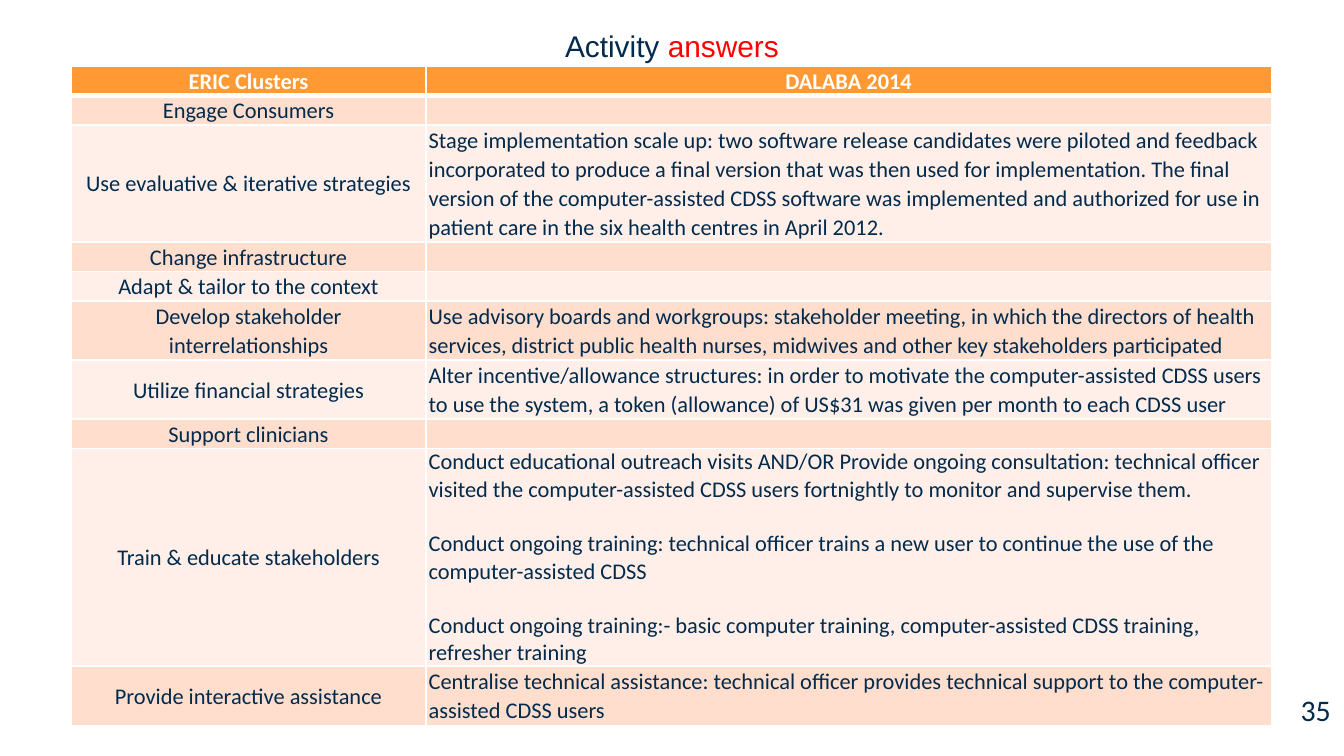
from lxml.etree import SubElement
from pptx import Presentation
from pptx.dml.color import RGBColor
from pptx.enum.text import MSO_ANCHOR, MSO_AUTO_SIZE, PP_ALIGN
from pptx.oxml.ns import qn
from pptx.util import Inches, Pt

NAVY = RGBColor(0x01, 0x2A, 0x4C)
RED = RGBColor(0xFF, 0x00, 0x00)
WHITE = RGBColor(0xFF, 0xFF, 0xFF)
ORANGE = RGBColor(0xFF, 0x99, 0x33)
PEACH = RGBColor(0xFF, 0xDE, 0xCE)
CREAM = RGBColor(0xFF, 0xEF, 0xE8)

HEAD = ("ERIC Clusters", "DALABA 2014")
ROWS = [
    ("Engage Consumers", [], 0.22),
    ("Use evaluative & iterative strategies", [
        "Stage implementation scale up: two software release candidates were piloted and "
        "feedback incorporated to produce a final version that was then used for "
        "implementation. The final version of the computer-assisted CDSS software was "
        "implemented and authorized for use in patient care in the six health centres "
        "in April 2012."], 0.87),
    ("Change infrastructure", [], 0.22),
    ("Adapt & tailor to the context", [], 0.22),
    ("Develop stakeholder interrelationships", [
        "Use advisory boards and workgroups: stakeholder meeting, in which the directors "
        "of health services, district public health nurses, midwives and other key "
        "stakeholders participated"], 0.44),
    ("Utilize financial strategies", [
        "Alter incentive/allowance structures: in order to motivate the computer-assisted "
        "CDSS users to use the system, a token (allowance) of US$31 was given per month "
        "to each CDSS user"], 0.44),
    ("Support clinicians", [], 0.22),
    ("Train & educate stakeholders", [
        "Conduct educational outreach visits AND/OR Provide ongoing consultation: technical "
        "officer visited the computer-assisted CDSS users fortnightly to monitor and "
        "supervise them.",
        "Conduct ongoing training: technical officer trains a new user to continue the use "
        "of the computer-assisted CDSS",
        "Conduct ongoing training:- basic computer training, computer-assisted CDSS "
        "training, refresher training"], 1.62),
    ("Provide interactive assistance", [
        "Centralise technical assistance: technical officer provides technical support to "
        "the computer-assisted CDSS users"], 0.44),
]


def set_font(para, name, size, color, bold=False):
    """Set the font of a whole paragraph."""
    font = para.font
    font.name, font.size, font.bold = name, Pt(size), bold
    font.color.rgb = color


def place(shape, left, top, width, height):
    """Move and size a shape."""
    shape.left, shape.top = Inches(left), Inches(top)
    shape.width, shape.height = Inches(width), Inches(height)


def add_title(slide):
    """Fill the title placeholder."""
    title = slide.shapes.title
    place(title, 0.5, 0.23, 9, 0.3)
    frame = title.text_frame
    frame.auto_size = MSO_AUTO_SIZE.NONE
    frame.vertical_anchor = MSO_ANCHOR.TOP
    para = frame.paragraphs[0]
    para.alignment, para.line_spacing = PP_ALIGN.CENTER, 0.7
    set_font(para, "Arial", 16, NAVY)
    for text, color in (("Activity ", NAVY), ("answers", RED)):
        run = para.add_run()
        run.text = text
        run.font.color.rgb = color


def add_number(slide):
    """Add the page number."""
    box = slide.shapes.add_textbox(Inches(7.75), Inches(5.13), Inches(2.25), Inches(0.3))
    frame = box.text_frame
    frame.word_wrap = True
    frame.vertical_anchor = MSO_ANCHOR.MIDDLE
    para = frame.paragraphs[0]
    para.text, para.alignment = "35", PP_ALIGN.RIGHT
    set_font(para, "Calibri", 16, NAVY)


def add_lines(cell, top, bottom):
    """Draw white borders round a table cell."""
    props = cell._tc.get_or_add_tcPr()
    for side, width in (("L", 1), ("R", 1), ("T", top), ("B", bottom)):
        line = SubElement(props, qn(f"a:ln{side}"), w=str(Pt(width)))
        paint = SubElement(line, qn("a:solidFill"))
        SubElement(paint, qn("a:srgbClr"), val=str(WHITE))


def fill_cell(cell, texts, fill, align, anchor, color=NAVY, bold=False):
    """Write paragraphs into a table cell and colour it."""
    cell.margin_left = cell.margin_right = Inches(0.02)
    cell.margin_top = cell.margin_bottom = 0
    cell.vertical_anchor = anchor
    cell.fill.solid()
    cell.fill.fore_color.rgb = fill
    frame = cell.text_frame
    frame.text = "\n".join(texts)
    for index, para in enumerate(frame.paragraphs):
        para.alignment = align
        if len(texts) == 1:
            para.line_spacing, para.space_after = 1.07, Pt(8)
        elif index:
            para.space_before = Pt(14.6)
        set_font(para, "Calibri", 12, color, bold)
        if not texts:
            SubElement(para._p, qn("a:endParaRPr"), sz="1200")


def add_grid(slide):
    """Add the table of clusters and answers."""
    high = [0.22] + [row[2] for row in ROWS]
    shape = slide.shapes.add_table(len(high), 2, Inches(0.53), Inches(0.49),
                                   Inches(8.93), Inches(sum(high)))
    table = shape.table
    for col, width in zip(table.columns, (2.64, 6.29)):
        col.width = Inches(width)
    for index, (row, height) in enumerate(zip(table.rows, high)):
        row.height = Inches(height)
        for cell in row.cells:
            add_lines(cell, 3 if index == 1 else 1, 1 if index else 3)
    for col, text in enumerate(HEAD):
        fill_cell(table.cell(0, col), [text], ORANGE, PP_ALIGN.CENTER,
                  MSO_ANCHOR.TOP, WHITE, True)
    for index, (name, texts, _) in enumerate(ROWS, 1):
        fill = PEACH if index % 2 else CREAM
        fill_cell(table.cell(index, 0), [name], fill, PP_ALIGN.CENTER, MSO_ANCHOR.MIDDLE)
        fill_cell(table.cell(index, 1), texts, fill, PP_ALIGN.LEFT, MSO_ANCHOR.TOP)


def main():
    """Build the slide and save it."""
    deck = Presentation()
    deck.slide_width = Inches(10)
    deck.slide_height = deck.slide_width * 9 // 16
    slide = deck.slides.add_slide(deck.slide_layouts[5])
    add_number(slide)
    add_grid(slide)
    add_title(slide)
    deck.save("out.pptx")


if __name__ == "__main__":
    main()
